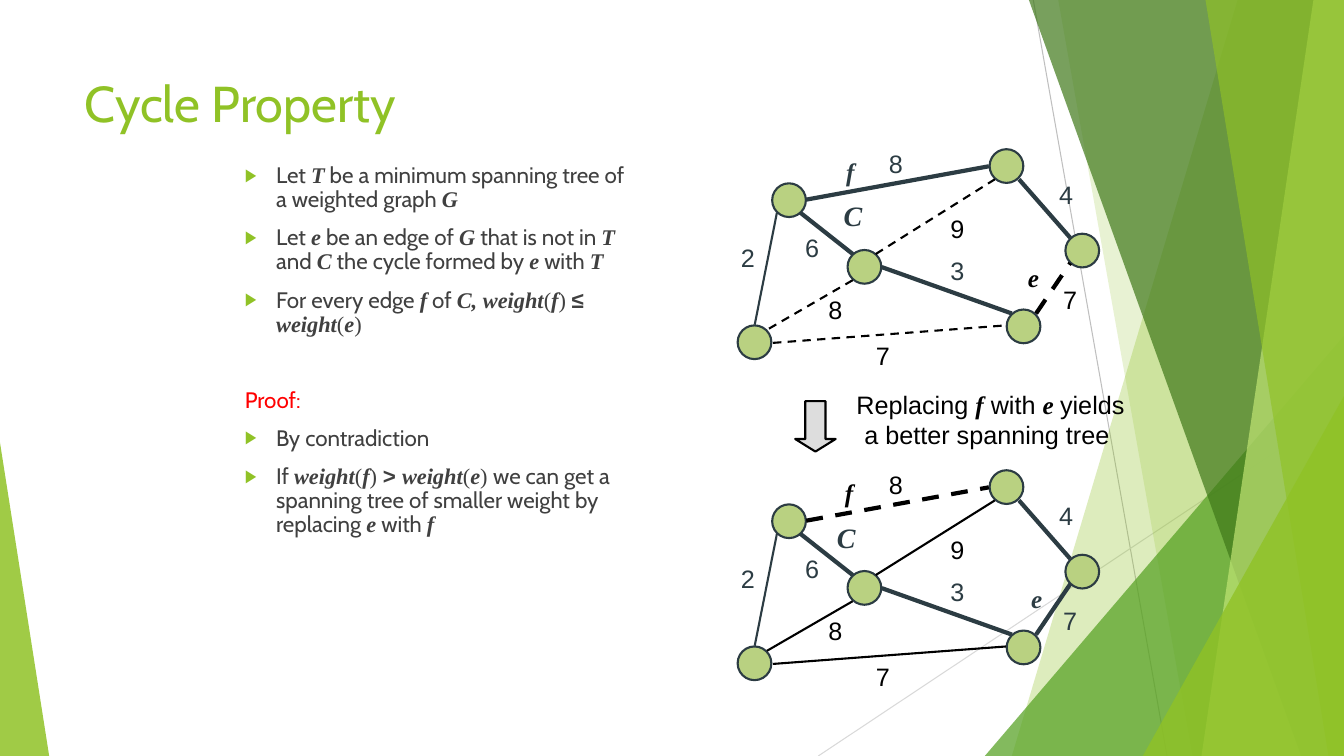
"""Build the Cycle Property slide: a minimum spanning tree proof with two weighted graphs."""
from lxml import etree
from pptx import Presentation
from pptx.dml.color import RGBColor
from pptx.enum.dml import MSO_LINE
from pptx.enum.shapes import MSO_CONNECTOR, MSO_SHAPE
from pptx.enum.text import MSO_ANCHOR, PP_ALIGN
from pptx.oxml.ns import qn
from pptx.util import Cm, Pt

STRAIGHT = MSO_CONNECTOR.STRAIGHT
OVAL, TRIANGLE, DOWN_ARROW = MSO_SHAPE.OVAL, MSO_SHAPE.ISOSCELES_TRIANGLE, MSO_SHAPE.DOWN_ARROW
DASH, TOP, CENTER, LEFT = MSO_LINE.DASH, MSO_ANCHOR.TOP, PP_ALIGN.CENTER, PP_ALIGN.LEFT

LIME = RGBColor(0x90, 0xC2, 0x26)
GREEN = RGBColor(0x54, 0xA0, 0x21)
FOREST = RGBColor(0x3F, 0x78, 0x19)
PALE_LIME = RGBColor(0xC0, 0xE4, 0x74)
NODE_GREEN = RGBColor(0xB9, 0xD1, 0x81)
SLATE = RGBColor(0x2C, 0x3C, 0x43)
BLACK = RGBColor(0, 0, 0)
RED = RGBColor(0xFF, 0, 0)
TEXT_GRAY = RGBColor(0x40, 0x40, 0x40)
ARROW_GRAY = RGBColor(0xDD, 0xDD, 0xDD)
MID_GRAY = RGBColor(0xBF, 0xBF, 0xBF)
LIGHT_GRAY = RGBColor(0xD9, 0xD9, 0xD9)

WIDTH, HEIGHT = 33.87, 19.05

BODY = ("Cabin", False, False)
PLAIN = ("Arial", False, False)
SIGN = ("Arial", True, False)
MATH = ("Times New Roman", False, False)
VAR = ("Times New Roman", True, True)

TITLE = [("Cycle Property", BODY)]
STATEMENT = [
    [("Let ", BODY), ("T", VAR), (" be a minimum spanning tree of a weighted graph ", BODY),
     ("G", VAR)],
    [("Let ", BODY), ("e", VAR), (" be an edge of ", BODY), ("G", VAR),
     (" that is not in ", BODY), ("T ", VAR), ("and ", BODY), ("C", VAR),
     (" the cycle formed by ", BODY), ("e", VAR), (" with ", BODY), ("T", VAR)],
    [("For every edge ", BODY), ("f", VAR), (" of ", BODY), ("C, weight", VAR), ("(", MATH),
     ("f", VAR), (") ", MATH), ("≤ ", SIGN), ("weight", VAR), ("(", MATH), ("e", VAR),
     (")", MATH)],
]
PROOF_HEADING = [("Proof:", BODY)]
PROOF = [
    [("By contradiction", BODY)],
    [("If ", BODY), ("weight", VAR), ("(", MATH), ("f", VAR), (") ", MATH), ("> ", SIGN),
     ("weight", VAR), ("(", MATH), ("e", VAR), (") ", MATH),
     ("we can get a spanning tree of smaller weight by replacing ", BODY), ("e", VAR),
     (" with ", BODY), ("f", VAR)],
]
NOTE = [("Replacing ", PLAIN), ("f", VAR), (" with ", PLAIN), ("e ", VAR),
        ("yields\va better spanning tree ", PLAIN)]

RAYS = [((26.04, 0), (29.41, HEIGHT), MID_GRAY), ((WIDTH, 10.24), (20.62, HEIGHT), LIGHT_GRAY)]
BANDS = [
    ("band", (31.19, 25.5), LIME, 30),
    ("band", (26.67, 30.05), LIME, 20),
    ("wedge", (24.82, 8.46, 9.05, 1), GREEN, 72),
    ("band", (25.93, 32.79), FOREST, 70),
    ("band", (33.1, 30.28), PALE_LIME, 70),
    ("band", (30.38, 33.48), LIME, 65),
    ("wedge", (28.8, 9.98, 5.07, 1), LIME, 80),
    ("wedge", (0, 11.15, 1.24, 0), LIME, 85),
]

NODE_SIZE = 0.85
NODES = [(19.46, 4.62), (24.94, 3.76), (21.36, 6.3), (18.59, 8.2), (26.85, 5.89), (25.37, 7.8)]
EDGES = {
    "upper left to hub": ((20.17, 5.36), (21.49, 6.4), 3, "6", (20.04, 5.72)),
    "hub to lower left": ((21.49, 7.06), (19.33, 8.31), 1.5, "8", (20.62, 7.29)),
    "left side": ((19.58, 5.36), (19.02, 8.18), 1.5, "2", (18.42, 5.97)),
    "hub to lower right": ((22.22, 6.73), (25.5, 7.9), 3, "3", (23.7, 6.3)),
    "bottom": ((19.48, 8.64), (25.35, 8.2), 1.5, "7", (21.82, 8.46)),
    "f": ((20.32, 5.03), (24.92, 4.19), 3, "8", (22.15, 3.61)),
    "hub to top": ((22.07, 6.4), (25.07, 4.52), 1.5, "9", (23.7, 5.26)),
    "right side": ((26.97, 5.99), (25.68, 4.52), 3, "4", (26.44, 4.39)),
    "e": ((26.11, 7.9), (26.97, 6.63), 3, "7", (26.54, 7.04)),
}
OUTSIDE_TREE = {"hub to lower left", "bottom", "hub to top"}
GRAPHS = [
    {"drop": 0, "black": OUTSIDE_TREE | {"e"}, "dashed": OUTSIDE_TREE | {"e"},
     "letters": {"e": (25.65, 6.48), "C": (20.9, 4.88), "f": (21.01, 3.81)}},
    {"drop": 8.09, "black": OUTSIDE_TREE | {"f"}, "dashed": {"f"},
     "letters": {"e": (25.73, 14.58), "C": (20.73, 13.0), "f": (20.98, 11.91)}},
]
LETTER_SIZES = {"e": (0.79, 1.02, 18), "C": (1.19, 1.09, 20), "f": (0.84, 1.02, 18)}


def paint(shape, fill, line=None, opacity=100):
    shape.shadow.inherit = False
    shape.fill.solid()
    shape.fill.fore_color.rgb = fill
    if opacity < 100:
        color = shape.fill._xPr.find(".//" + qn("a:srgbClr"))
        etree.SubElement(color, qn("a:alpha"), val=str(opacity * 1000))
    if line is None:
        shape.line.fill.background()
    else:
        shape.line.color.rgb = line
        shape.line.width = Pt(1.5)


def add_line(shapes, start, end, color, width, dashed=False):
    line = shapes.add_connector(STRAIGHT, *[Cm(value) for value in (*start, *end)])
    line.line.color.rgb = color
    line.line.width = Pt(width)
    if dashed:
        line.line.dash_style = DASH
    etree.SubElement(line._element.spPr, qn("a:effectLst"))


def write(para, runs, size, color):
    for text, (font, bold, italic) in runs:
        for index, piece in enumerate(text.split("\v")):
            if index:
                para.add_line_break()
            span = para.add_run()
            span.text = piece
            span.font.name, span.font.size = font, Pt(size)
            span.font.bold, span.font.italic = bold, italic
            span.font.color.rgb = color


def add_text(shapes, place, runs, size, color, align=CENTER, wrap=False):
    box = shapes.add_textbox(*[Cm(value) for value in place])
    frame = box.text_frame
    frame.word_wrap = wrap
    frame.vertical_anchor = TOP
    frame.paragraphs[0].alignment = align
    write(frame.paragraphs[0], runs, size, color)
    return frame


def format_item(para, before, bulleted=True):
    props = para._p.get_or_add_pPr()
    props.set("marL", str(Cm(2.06)))
    props.set("indent", str(Cm(-0.79)))
    if bulleted:
        tint = etree.SubElement(props, qn("a:buClr"))
        etree.SubElement(tint, qn("a:srgbClr"), val=str(LIME))
        etree.SubElement(props, qn("a:buSzPct"), val="80000")
        etree.SubElement(props, qn("a:buFont"), typeface="Arial")
        etree.SubElement(props, qn("a:buChar"), char="▶")
    para.line_spacing = 0.9
    para.space_before = Pt(before)


def add_backdrop(page):
    shapes = page.shapes.add_group_shape().shapes
    for start, end, color in RAYS:
        add_line(shapes, start, end, color, 0.75)
    for kind, place, color, opacity in BANDS:
        if kind == "band":
            top, bottom = place
            outline = shapes.build_freeform(Cm(top), 0)
            corners = [(WIDTH, 0), (WIDTH, HEIGHT), (bottom, HEIGHT)]
            outline.add_line_segments([(Cm(x), Cm(y)) for x, y in corners], close=True)
            shape = outline.convert_to_shape()
        else:
            left, top, width, apex = place
            shape = shapes.add_shape(TRIANGLE, Cm(left), Cm(top), Cm(width), Cm(HEIGHT - top))
            shape.adjustments[0] = apex
        paint(shape, color, opacity=opacity)


def add_body(page):
    frame = add_text(page.shapes, (4.65, 4.01, 11.43, 13.54), STATEMENT[0], 16, TEXT_GRAY,
                     LEFT, True)
    format_item(frame.paragraphs[0], 0)
    items = [(runs, TEXT_GRAY, 10, True) for runs in STATEMENT[1:]]
    items.append((PROOF_HEADING, RED, 37, False))
    items += [(runs, TEXT_GRAY, 10, True) for runs in PROOF]
    for runs, color, before, bulleted in items:
        para = frame.add_paragraph()
        format_item(para, before, bulleted)
        write(para, runs, 16, color)


def add_graph(page, graph):
    shapes = page.shapes.add_group_shape().shapes
    drop = graph["drop"]
    for left, top in NODES:
        node = shapes.add_shape(OVAL, Cm(left), Cm(top + drop), Cm(NODE_SIZE), Cm(NODE_SIZE))
        paint(node, NODE_GREEN, SLATE)
    colors = {name: BLACK if name in graph["black"] else SLATE for name in EDGES}
    for name, ((x1, y1), (x2, y2), width, weight, (left, top)) in EDGES.items():
        add_line(shapes, (x1, y1 + drop), (x2, y2 + drop), colors[name], width,
                 name in graph["dashed"])
        add_text(shapes, (left, top + drop, 0.86, 1.02), [(weight, PLAIN)], 18, colors[name])
    for letter, place in graph["letters"].items():
        width, height, size = LETTER_SIZES[letter]
        add_text(shapes, (*place, width, height), [(letter, VAR)], size,
                 colors.get(letter, SLATE))


def main():
    deck = Presentation()
    deck.slide_width, deck.slide_height = Cm(WIDTH), Cm(HEIGHT)
    page = deck.slides.add_slide(deck.slide_layouts[6])
    add_backdrop(page)
    add_text(page.shapes, (1.88, 1.7, 23.88, 3.66), TITLE, 36, LIME, LEFT, True)
    add_body(page)
    for graph in GRAPHS:
        add_graph(page, graph)
    arrow = page.shapes.add_shape(DOWN_ARROW, Cm(20.04), Cm(10.11), Cm(1.02), Cm(1.27))
    arrow.adjustments[1] = 0.31
    paint(arrow, ARROW_GRAY, BLACK)
    add_text(page.shapes, (21.29, 9.68, 7.34, 1.8), NOTE, 18, BLACK)
    deck.save("out.pptx")


if __name__ == "__main__":
    main()
